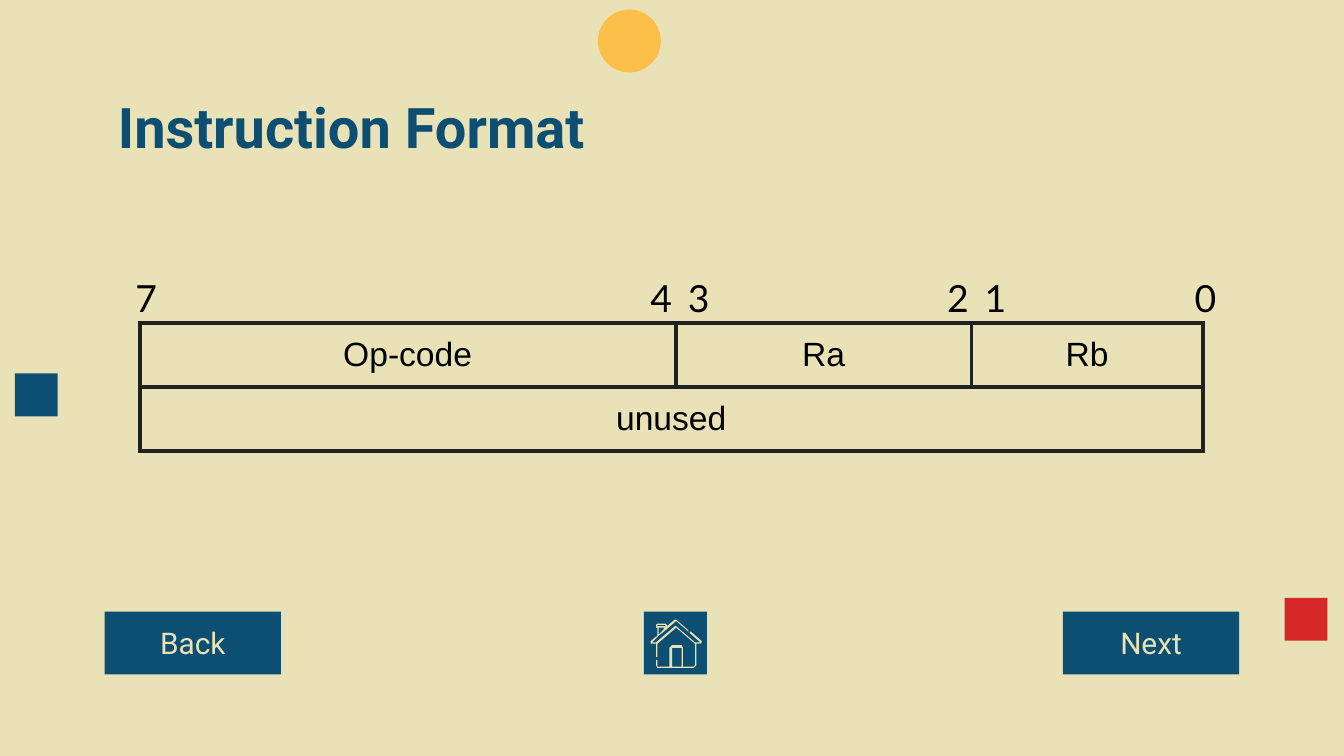
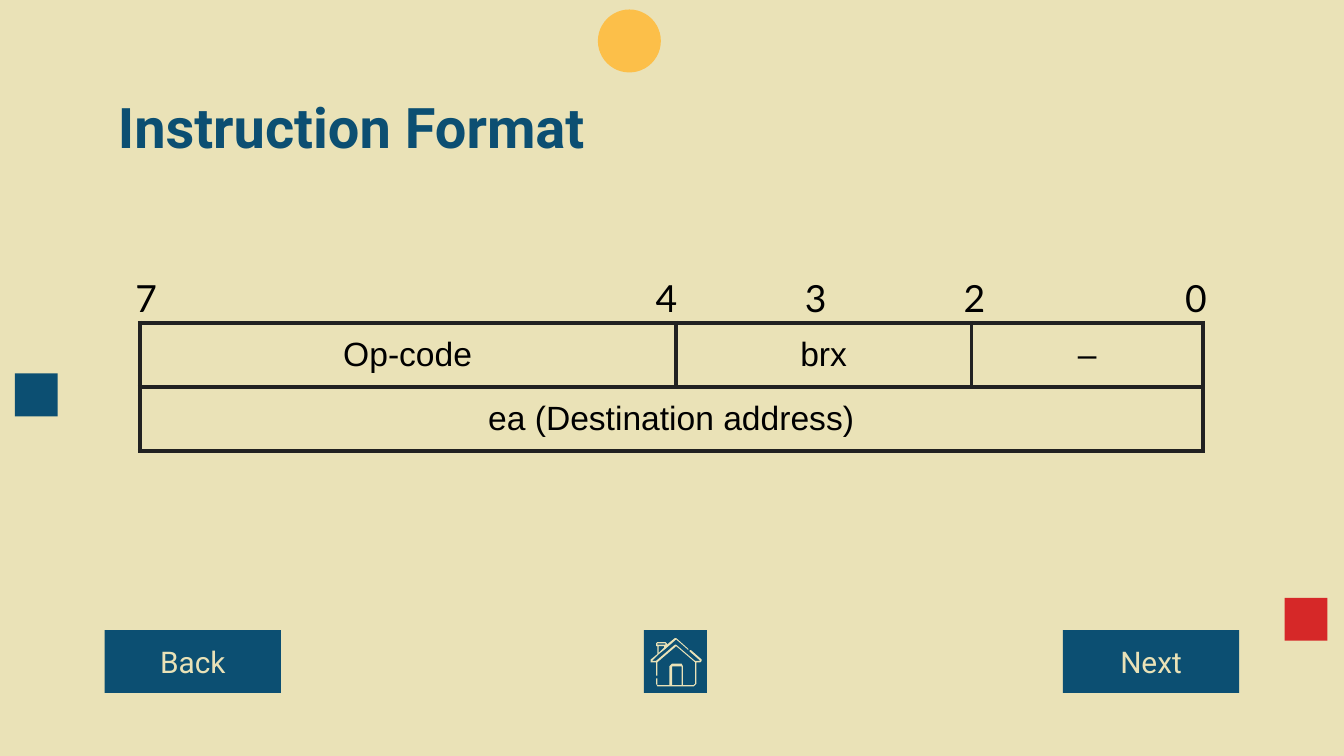
from lxml import etree
from pptx import Presentation
from pptx.dml.color import RGBColor
from pptx.enum.shapes import MSO_SHAPE, PP_PLACEHOLDER
from pptx.enum.text import MSO_ANCHOR, MSO_AUTO_SIZE, PP_ALIGN
from pptx.oxml.ns import qn
from pptx.util import Cm, Pt

RECT, OVAL = MSO_SHAPE.RECTANGLE, MSO_SHAPE.OVAL
LEFT, CENTER = PP_ALIGN.LEFT, PP_ALIGN.CENTER
TOP, MIDDLE = MSO_ANCHOR.TOP, MSO_ANCHOR.MIDDLE
FIXED, GROW = MSO_AUTO_SIZE.NONE, MSO_AUTO_SIZE.SHAPE_TO_FIT_TEXT
TITLE = PP_PLACEHOLDER.TITLE

COLORS = {
    "sand": "EAE2B7",
    "navy": "0C4F72",
    "red": "D62828",
    "amber": "FCBF49",
    "rule": "212121",
    "black": "000000",
}

WIDTH, HEIGHT = 25.4, 14.29
MARGIN = 1.98
INSET = 0.25
BUTTON_WIDTH, BUTTON_HEIGHT = 3.33, 1.19
HOME_LEFT = 12.17
FIELD_WIDTHS = (10.13, 5.59, 4.37)
ROW_HEIGHT = 1.07

# House outlines, in hundredths of an inch from the corner of the home button
HOUSE_UNIT = Cm(2.54) / 100
CHIMNEY_CAP = [(16, 10), (16, 11), (10, 11), (10, 10)]
CHIMNEY = [(15, 12), (15, 13), (11, 17), (11, 12)]
DOOR = [(28, 27), (28, 41), (21, 41), (21, 27)]
WALLS_AND_ROOF = [
    (24, 6), (23, 6), (17, 11), (17, 10), (16, 9), (10, 9), (9, 10), (9, 12),
    (10, 12), (10, 18), (5, 22), (5, 24), (9, 24), (9, 34), (10, 34), (10, 24),
    (24, 12), (38, 24), (38, 40), (37, 41), (29, 41), (29, 27), (28, 25),
    (21, 25), (19, 27), (19, 41), (10, 41), (10, 36), (9, 36), (9, 40),
    (10, 42), (37, 42), (39, 40), (39, 24), (42, 24), (43, 23), (43, 22),
    (35, 15), (34, 15), (34, 16), (42, 23), (38, 23), (24, 11), (23, 11),
    (9, 23), (6, 23), (11, 18), (16, 14), (24, 7), (32, 14), (33, 15), (33, 14),
]

# Each format: bit numbers with their left edges, fields, second word, button top
FORMATS = [
    {
        "bits": [("0", 22.33), ("1", 18.36), ("2", 17.65),
                 ("3", 12.75), ("4", 12.04), ("7", 2.31)],
        "fields": ("Op-code", "Ra", "Rb"),
        "second_word": "unused",
        "nav_top": 11.56,
    },
    {
        "bits": [("0", 22.15), ("2", 17.96), ("3", 14.96),
                 ("4", 12.14), ("7", 2.31)],
        "fields": ("Op-code", "brx", "–"),
        "second_word": "ea (Destination address)",
        "nav_top": 11.91,
    },
]


def rgb(name):
    return RGBColor.from_string(COLORS[name])


class Deck:
    def __init__(self):
        self.prs = Presentation()
        self.prs.slide_width, self.prs.slide_height = Cm(WIDTH), Cm(HEIGHT)
        self.layout = self.prs.slide_layouts[5]
        self.slide = None

    def new_slide(self):
        self.slide = self.prs.slides.add_slide(self.layout)

    def decorate_layout(self):
        """Give the layout its background and the three coloured marks."""
        background = self.layout.background.fill
        background.solid()
        background.fore_color.rgb = rgb("sand")
        for footer in list(self.layout.placeholders):
            if footer.placeholder_format.type != TITLE:
                self.layout.shapes.element.remove(footer.element)
        for kind, left, top, size, color in (
            (RECT, 24.28, 11.3, 0.81, "red"),
            (OVAL, 11.3, 0.18, 1.19, "amber"),
            (RECT, 0.28, 7.06, 0.81, "navy"),
        ):
            mark = self.block(kind, left, top, size, size, color)
            self.layout.shapes.element.append(mark.element)

    def set_text(self, frame, text, size, font, color, align=LEFT, bold=False):
        frame.text = text
        frame.word_wrap = True
        frame.margin_left = frame.margin_right = Cm(INSET)
        frame.margin_top = frame.margin_bottom = Cm(INSET)
        paragraph = frame.paragraphs[0]
        paragraph.alignment = align
        for run in paragraph.runs:
            run.font.size, run.font.name, run.font.bold = Pt(size), font, bold
            run.font.color.rgb = rgb(color)

    def paint(self, shape, color):
        shape.shadow.inherit = False
        shape.fill.solid()
        shape.fill.fore_color.rgb = rgb(color)
        shape.line.fill.background()

    def block(self, kind, left, top, width, height, color):
        shape = self.slide.shapes.add_shape(
            kind, Cm(left), Cm(top), Cm(width), Cm(height))
        self.paint(shape, color)
        return shape

    def title(self, text):
        heading = self.slide.shapes.title
        heading.left, heading.top = Cm(MARGIN), Cm(1.5)
        heading.width, heading.height = Cm(WIDTH - 2 * MARGIN), Cm(1.6)
        self.set_text(heading.text_frame, text, 30, "Roboto", "navy", bold=True)
        heading.text_frame.vertical_anchor = TOP
        heading.text_frame.auto_size = FIXED

    def bit_number(self, text, left):
        label = self.slide.shapes.add_textbox(
            Cm(left), Cm(4.95), Cm(1.09), Cm(1.37))
        self.set_text(label.text_frame, text, 20, "Lato", "black")
        label.text_frame.auto_size = GROW

    def border(self, cell):
        properties = cell._tc.get_or_add_tcPr()
        for side in ("a:lnL", "a:lnR", "a:lnT", "a:lnB"):
            line = etree.SubElement(properties, qn(side), w=str(Pt(2.25)))
            fill = etree.SubElement(line, qn("a:solidFill"))
            etree.SubElement(fill, qn("a:srgbClr"), val=COLORS["rule"])

    def format_table(self, fields, second_word):
        table = self.slide.shapes.add_table(
            2, len(fields), Cm(2.64), Cm(6.1),
            Cm(sum(FIELD_WIDTHS)), Cm(2 * ROW_HEIGHT)).table
        table.first_row = table.horz_banding = False
        for column, width in zip(table.columns, FIELD_WIDTHS):
            column.width = Cm(width)
        for row in table.rows:
            row.height = Cm(ROW_HEIGHT)
        table.cell(1, 0).merge(table.cell(1, len(fields) - 1))
        for cell in table.iter_cells():
            self.border(cell)
            cell.fill.background()
            cell.margin_left = cell.margin_right = Cm(INSET)
            cell.margin_top = cell.margin_bottom = Cm(INSET)
        words = [(0, i, field) for i, field in enumerate(fields)]
        for row, column, text in words + [(1, 0, second_word)]:
            cell = table.cell(row, column)
            cell.text = text
            paragraph = cell.text_frame.paragraphs[0]
            paragraph.alignment = CENTER
            font = paragraph.runs[0].font
            font.size, font.name = Pt(18), "Arial"
            font.color.rgb = rgb("black")

    def button(self, text, left, top):
        key = self.block(RECT, left, top, BUTTON_WIDTH, BUTTON_HEIGHT, "navy")
        self.set_text(key.text_frame, text, 16, "Roboto", "sand", CENTER)
        key.text_frame.vertical_anchor = MIDDLE

    def home_button(self, top):
        self.block(RECT, HOME_LEFT, top, BUTTON_HEIGHT, BUTTON_HEIGHT, "navy")
        builder = self.slide.shapes.build_freeform(
            *WALLS_AND_ROOF[0], scale=HOUSE_UNIT)
        builder.add_line_segments(WALLS_AND_ROOF[1:], close=True)
        for opening in (CHIMNEY_CAP, CHIMNEY, DOOR):
            builder.move_to(*opening[0])
            builder.add_line_segments(opening[1:], close=True)
        house = builder.convert_to_shape(Cm(HOME_LEFT), Cm(top))
        self.paint(house, "sand")

    def navigation(self, top):
        self.button("Back", MARGIN, top)
        self.home_button(top)
        self.button("Next", WIDTH - MARGIN - BUTTON_WIDTH, top)


def main():
    deck = Deck()
    for index, instruction in enumerate(FORMATS):
        deck.new_slide()
        if index == 0:
            deck.decorate_layout()
        deck.title("Instruction Format")
        # Bit layout
        deck.format_table(instruction["fields"], instruction["second_word"])
        for bit, left in instruction["bits"]:
            deck.bit_number(bit, left)
        # Navigation bar
        deck.navigation(instruction["nav_top"])
    deck.prs.save("out.pptx")


if __name__ == "__main__":
    main()
